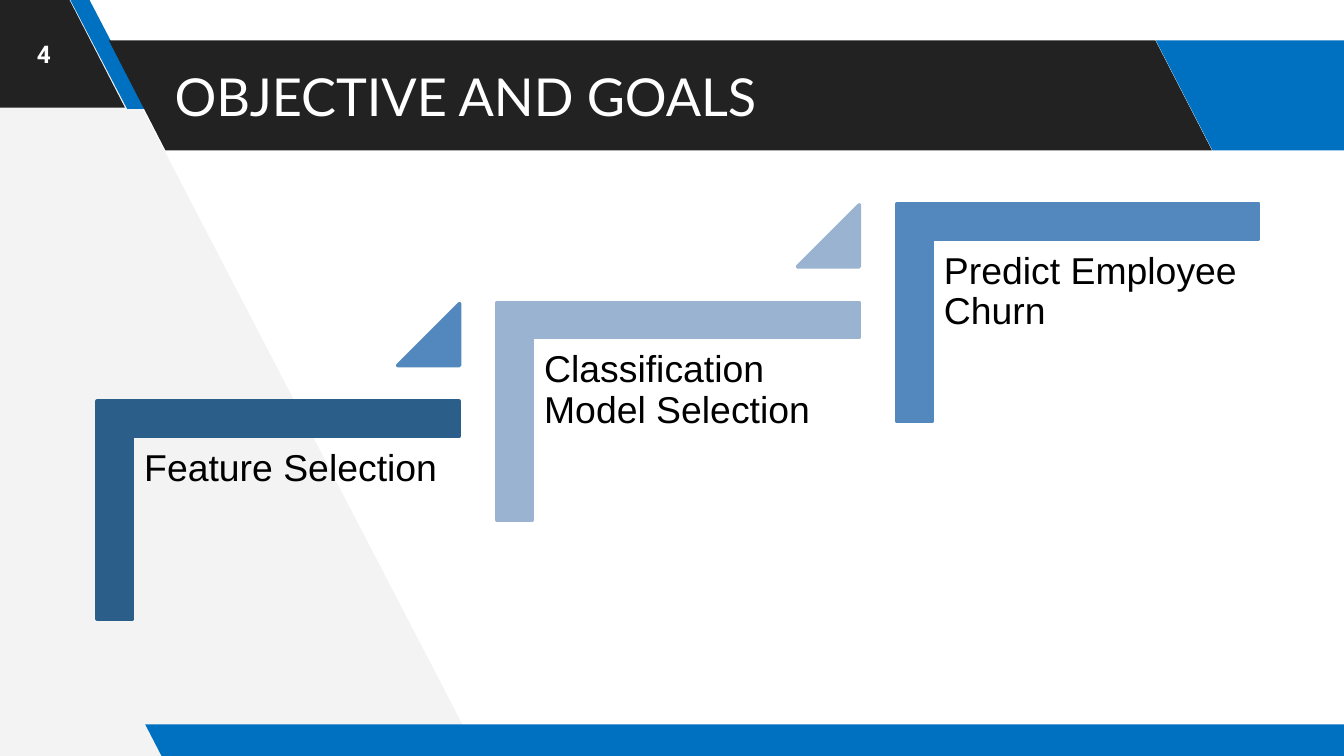
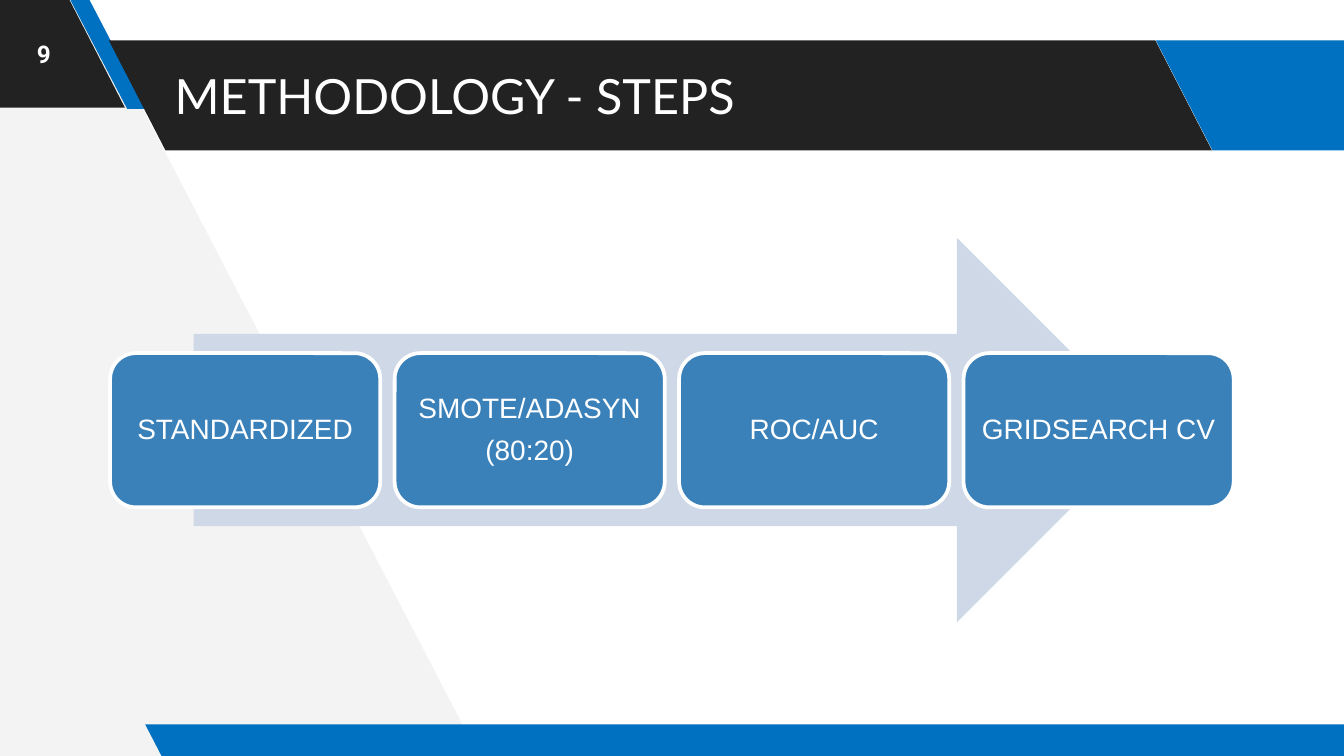
from pptx import Presentation
from pptx.dml.color import RGBColor
from pptx.enum.shapes import MSO_SHAPE as SHAPE
from pptx.enum.text import MSO_ANCHOR as ANCHOR, MSO_AUTO_SIZE as AUTO, PP_ALIGN as ALIGN
from pptx.util import Pt

BLACK = RGBColor(0x00, 0x00, 0x00)
WHITE = RGBColor(0xFF, 0xFF, 0xFF)
DARK = RGBColor(0x22, 0x22, 0x22)
BLUE = RGBColor(0x00, 0x70, 0xC0)
PALE_GREY = RGBColor(0xF3, 0xF3, 0xF3)
NAVY = RGBColor(0x2B, 0x5F, 0x8A)
STEEL = RGBColor(0x52, 0x88, 0xBD)
MIST = RGBColor(0x9A, 0xB3, 0xD1)
ARROW = RGBColor(0xCE, 0xD8, 0xE7)
BOX = RGBColor(0x3A, 0x81, 0xBA)

# Slanted bands: left, top, width, height, slant, colour
BANDS = [
    (-71.3, -1.4, 138.2, 59, 0.515, DARK),
    (37.4, -0.7, 41, 59, 0.75, BLUE),
    (58.3, 21.6, 591, 59, 0.515, DARK),
    (619.2, 21.6, 138.2, 59, 0.515, BLUE),
    (77.8, 388, 659, 18, 0.515, BLUE),
]


def add_solid(s, kind, left, top, width, height, fill, line=None, adj=()):
    sp = s.shapes.add_shape(kind, Pt(left), Pt(top), Pt(width), Pt(height))
    sp.shadow.inherit = False
    sp.fill.solid()
    sp.fill.fore_color.rgb = fill
    if line is None:
        sp.line.fill.background()
    else:
        sp.line.color.rgb = line
        sp.line.width = Pt(2)
    for i, value in enumerate(adj):
        sp.adjustments[i] = value
    return sp


def set_text(sp, lines, font, size, color, inset, anchor=ANCHOR.MIDDLE,
             align=ALIGN.LEFT, spacing=None, after=None, bold=False):
    tf = sp.text_frame
    tf.text = "\n".join(lines)
    tf.word_wrap = True
    tf.auto_size = AUTO.NONE
    tf.vertical_anchor = anchor
    tf.margin_left = tf.margin_right = tf.margin_top = tf.margin_bottom = Pt(inset)
    for p in tf.paragraphs:
        p.alignment = align
        p.line_spacing = spacing
        p.space_before = Pt(0)
        p.space_after = after
        p.font.name = font
        p.font.size = Pt(size)
        p.font.bold = bold
        p.font.color.rgb = color


prs = Presentation()
prs.slide_width, prs.slide_height = Pt(720), Pt(405)

# Shared frame: backdrop, bands, title and page number
slides = []
for title, size, number in [("OBJECTIVE AND GOALS", 28, "4"),
                            ("METHODOLOGY - STEPS", 26, "9")]:
    s = prs.slides.add_slide(prs.slide_layouts[5])
    slides.append(s)

    fb = s.shapes.build_freeform(Pt(256.3), Pt(404.6))
    fb.add_line_segments([(Pt(44.6), Pt(-2.9)), (Pt(-4.3), Pt(-2.9)), (Pt(-1.4), Pt(407.5))])
    backdrop = fb.convert_to_shape()
    backdrop.shadow.inherit = False
    backdrop.fill.solid()
    backdrop.fill.fore_color.rgb = PALE_GREY
    backdrop.line.fill.background()

    for left, top, width, height, slant, color in BANDS:
        band = add_solid(s, SHAPE.PARALLELOGRAM, left, top, width, height, color, adj=[slant])
        band.element.spPr.get_or_add_xfrm().set("flipH", "1")

    heading = s.shapes.title
    heading.left, heading.top, heading.width, heading.height = Pt(86.4), Pt(21.6), Pt(596), Pt(59)
    set_text(heading, [title], "Lato", size, WHITE, 7.2)
    backdrop.element.getparent().append(heading.element)  # in front of the bands

    page = s.shapes.add_textbox(Pt(0), Pt(0), Pt(46.8), Pt(57.6))
    set_text(page, [number], "Roboto", 13, WHITE, 7.2, align=ALIGN.CENTER, bold=True)

goals, methodology = slides

# Goals: a rising staircase with a triangle between steps
STEP_X, STEP_Y = 214.2, 52.9
for i, (goal, color, triangle_color) in enumerate([
        ("Feature Selection", NAVY, STEEL),
        ("Classification Model Selection", MIST, MIST),
        ("Predict Employee Churn", STEEL, None)]):
    dx, dy = i * STEP_X, i * STEP_Y
    corner = add_solid(goals, SHAPE.CORNER, 90.7 + dx, 176.4 - dy, 116.6, 193.7,
                       color, color, [0.161, 0.161])
    corner.rotation = 90
    label = goals.shapes.add_textbox(Pt(71.3 + dx), Pt(234.7 - dy), Pt(175), Pt(153.4))
    set_text(label, [goal], "Arial", 20, BLACK, 6, anchor=ANCHOR.TOP, spacing=0.9)
    if triangle_color is not None:
        add_solid(goals, SHAPE.ISOSCELES_TRIANGLE, 213.1 + dx, 162.7 - dy, 33.1, 33.1,
                  triangle_color, triangle_color, [1])

# Methodology: four steps along an arrow
add_solid(methodology, SHAPE.RIGHT_ARROW, 103.7, 127.4, 512, 206, ARROW)
for i, lines in enumerate([["STANDARDIZED"], ["SMOTE/ADASYN", "(80:20)"],
                           ["ROC/AUC"], ["GRIDSEARCH CV"]]):
    box = add_solid(methodology, SHAPE.ROUNDED_RECTANGLE, 59 + i * 152.4, 189.2, 144.7, 82.6,
                    BOX, WHITE)
    set_text(box, lines, "Arial", 15, WHITE, 4.3, align=ALIGN.CENTER, spacing=0.9, after=Pt(6))

prs.save("out.pptx")
